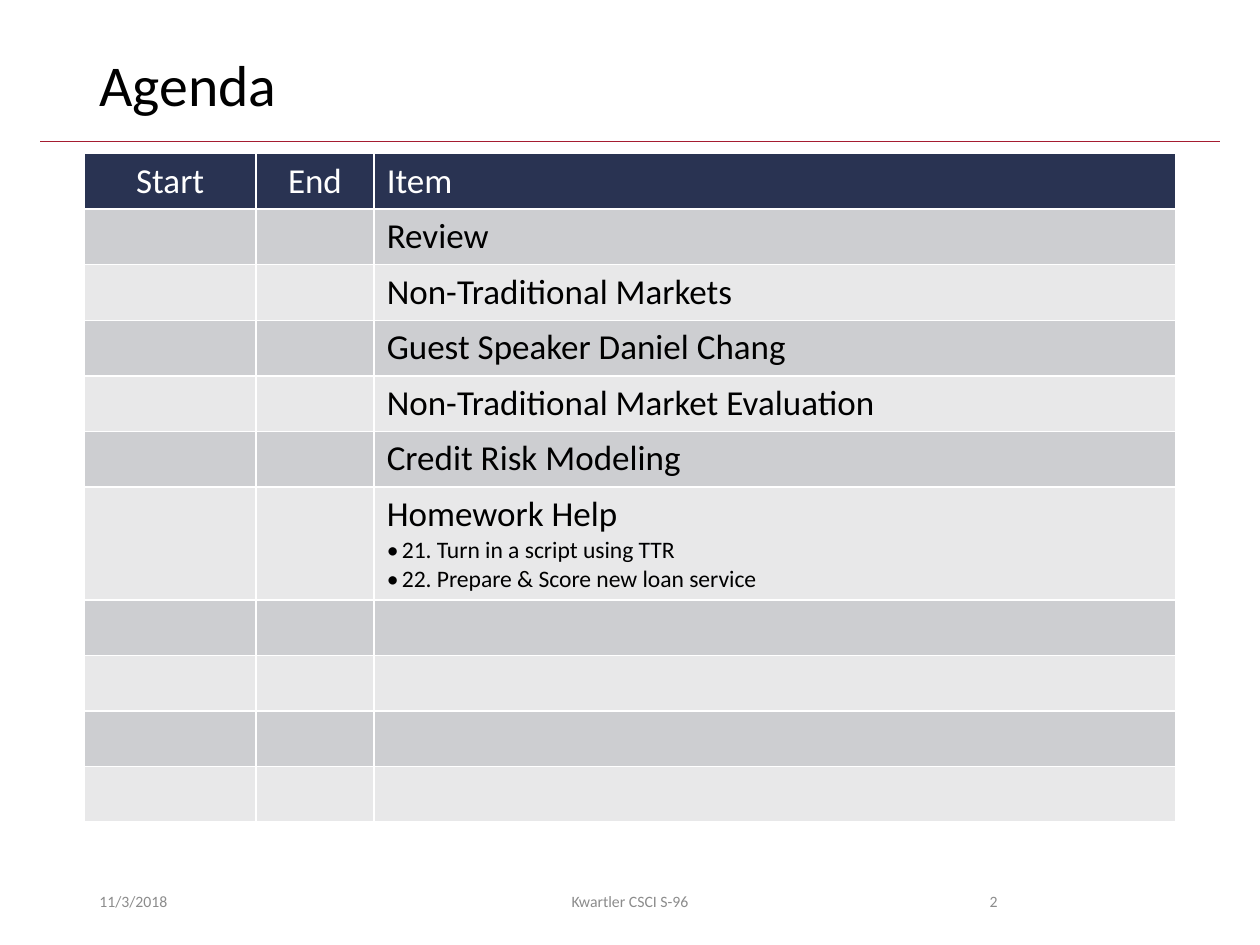
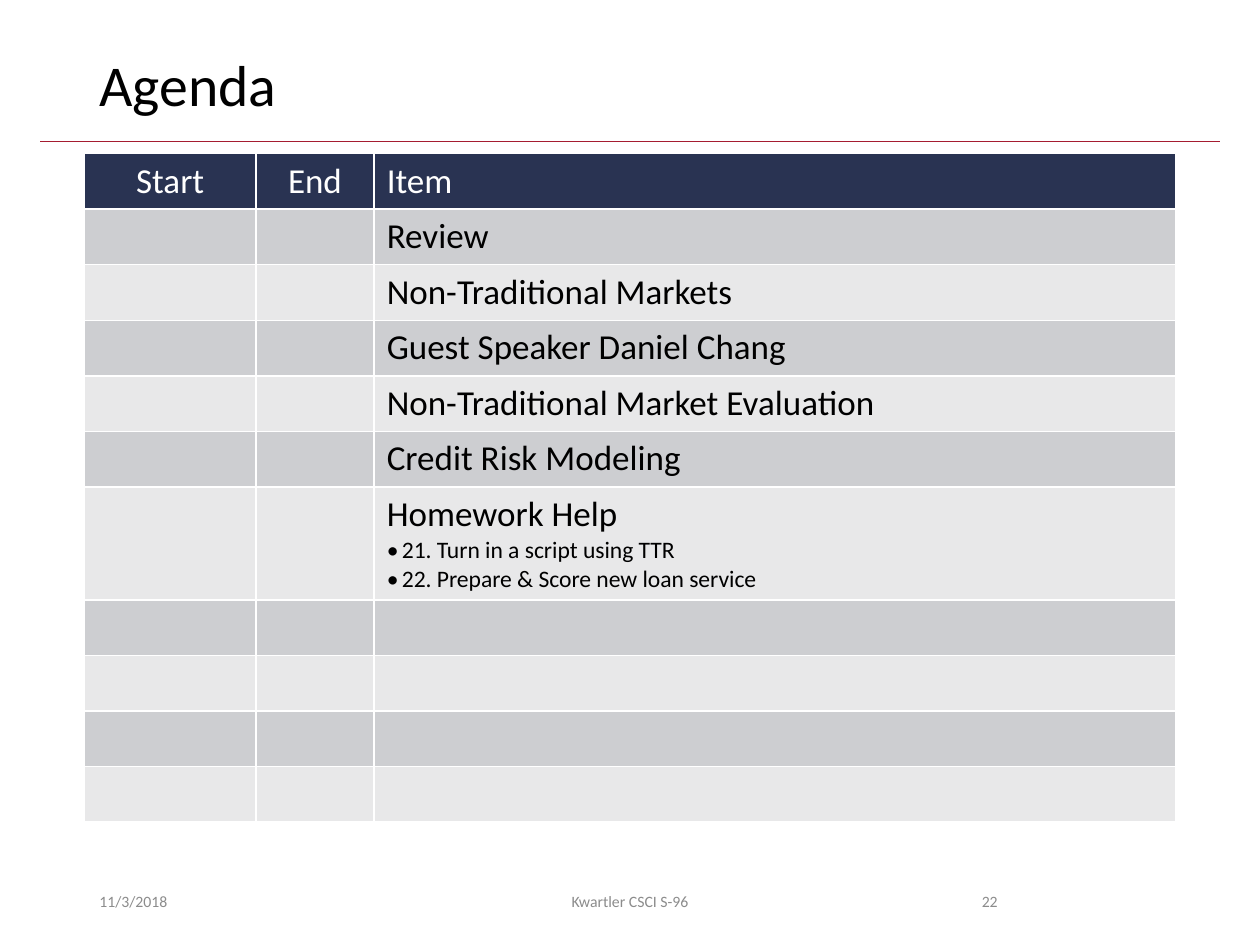
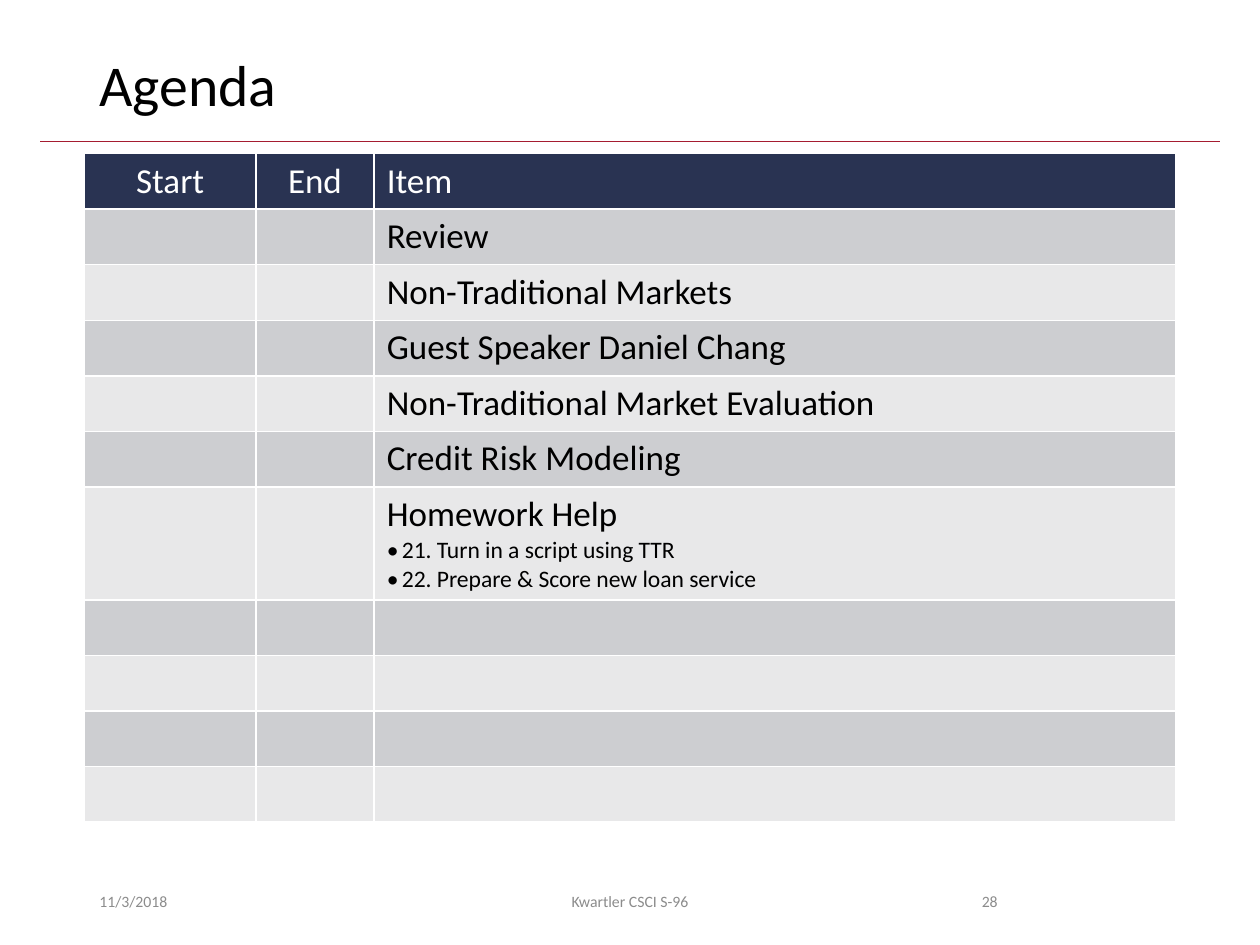
from lxml.etree import SubElement
from pptx import Presentation
from pptx.dml.color import RGBColor
from pptx.enum.shapes import MSO_CONNECTOR
from pptx.enum.text import MSO_ANCHOR, MSO_AUTO_SIZE, PP_ALIGN
from pptx.oxml.ns import qn
from pptx.util import Inches, Pt

COLORS = {"rule": "A51C30", "header": "293352", "dark_band": "CDCED1",
          "light_band": "E8E8E9", "white": "FFFFFF", "text": "000000",
          "footer": "8C8C8C"}
FONT = "Calibri"
TITLE_ONLY = 5

# Boxes are left, top, width, height in inches
TITLE_BOX = (0.69, 0.4, 8.62, 0.65)
TABLE_BOX = (0.67, 1.22, 8.66, 5.3)
FOOTER_BAND = (0.69, 6.95, 8.62, 0.4)
COLUMN_WIDTHS = (1.36, 0.94, 6.36)
ROW_HEIGHT, HOMEWORK_HEIGHT = 0.44, 0.9
BULLET_INDENT = 0.12

HEADINGS = ("Start", "End", "Item")
HOMEWORK = ("21. Turn in a script using TTR", "22. Prepare & Score new loan service")
ITEMS = (
    ("Review",),
    ("Non-Traditional Markets",),
    ("Guest Speaker Daniel Chang",),
    ("Non-Traditional Market Evaluation",),
    ("Credit Risk Modeling",),
    ("Homework Help", *HOMEWORK),
)
EMPTY_ROWS = 4
PAGE_NUMBERS = (2, 22, 28)


def rgb(name):
    return RGBColor.from_string(COLORS[name])


def write(para, text, size=20, color="text", align=PP_ALIGN.LEFT, bullet=False):
    """Fill one paragraph with formatted text."""
    para.alignment = align
    if bullet:
        properties = para._p.get_or_add_pPr()
        properties.set("marL", str(Inches(BULLET_INDENT)))
        properties.set("indent", str(-Inches(BULLET_INDENT)))
        SubElement(properties, qn("a:buFont"), typeface=FONT)
        SubElement(properties, qn("a:buChar"), char="•")
    span = para.add_run()
    span.text = text
    span.font.name = FONT
    span.font.size = Pt(size)
    span.font.bold = False
    span.font.color.rgb = rgb(color)


def add_rule(page, layout):
    """Draw the line under the title and hand it to the shared layout."""
    rule = page.shapes.add_connector(MSO_CONNECTOR.STRAIGHT, Inches(0.32), Inches(1.12),
                                     Inches(9.68), Inches(1.12))
    rule.line.color.rgb = rgb("rule")
    rule.line.width = Pt(0.5)
    SubElement(rule._element.spPr, qn("a:effectLst"))
    layout.shapes._spTree.append(rule._element)


def add_title(page, text, box):
    title = page.shapes.title
    title.left, title.top, title.width, title.height = map(Inches, box)
    frame = title.text_frame
    frame.auto_size = MSO_AUTO_SIZE.NONE
    frame.vertical_anchor = MSO_ANCHOR.TOP
    frame.paragraphs[0].line_spacing = 0.9
    write(frame.paragraphs[0], text, size=33)


def style_cell(cell, fill):
    """Give a cell white borders and a plain fill."""
    properties = cell._tc.get_or_add_tcPr()
    for side in "LRTB":
        border = SubElement(properties, qn(f"a:ln{side}"), w=str(Pt(1)))
        solid = SubElement(border, qn("a:solidFill"))
        SubElement(solid, qn("a:srgbClr"), val=COLORS["white"])
    cell.fill.solid()
    cell.fill.fore_color.rgb = rgb(fill)


def add_agenda_table(page, box):
    rows = ITEMS + ((),) * EMPTY_ROWS
    table = page.shapes.add_table(len(rows) + 1, len(HEADINGS), *map(Inches, box)).table
    for column, width in zip(table.columns, COLUMN_WIDTHS):
        column.width = Inches(width)

    # Header
    table.rows[0].height = Inches(ROW_HEIGHT)
    for cell, heading in zip(table.rows[0].cells, HEADINGS):
        style_cell(cell, "header")
        align = PP_ALIGN.LEFT if heading == "Item" else PP_ALIGN.CENTER
        write(cell.text_frame.paragraphs[0], heading, color="white", align=align)

    # Banded items, with any further lines as bullets
    for number, lines in enumerate(rows, start=1):
        row = table.rows[number]
        row.height = Inches(HOMEWORK_HEIGHT if len(lines) > 1 else ROW_HEIGHT)
        for cell in row.cells:
            style_cell(cell, "dark_band" if number % 2 else "light_band")
        frame = table.cell(number, 2).text_frame
        for index, line in enumerate(lines):
            para = frame.add_paragraph() if index else frame.paragraphs[0]
            write(para, line, size=13.5 if index else 20, bullet=index > 0)


def add_footer(page, number, band):
    left, top, width, height = band
    parts = (  # text, offset and width as shares of the band, alignment
        ("11/3/2018", 0, 0.26, PP_ALIGN.LEFT),
        ("Kwartler CSCI S-96", 0.3, 0.4, PP_ALIGN.CENTER),
        (str(number), 0.74, 0.11, PP_ALIGN.RIGHT),
    )
    for text, offset, share, align in parts:
        box = page.shapes.add_textbox(Inches(left + offset * width), Inches(top),
                                      Inches(share * width), Inches(height))
        frame = box.text_frame
        frame.word_wrap = True
        frame.vertical_anchor = MSO_ANCHOR.MIDDLE
        write(frame.paragraphs[0], text, size=9, color="footer", align=align)


def main():
    deck = Presentation()
    deck.slide_width, deck.slide_height = Inches(10), Inches(7.5)
    layout = deck.slide_layouts[TITLE_ONLY]
    for number in PAGE_NUMBERS:
        page = deck.slides.add_slide(layout)
        if number == PAGE_NUMBERS[0]:
            add_rule(page, layout)
        add_title(page, "Agenda", TITLE_BOX)
        add_agenda_table(page, TABLE_BOX)
        add_footer(page, number, FOOTER_BAND)
    deck.save("out.pptx")


if __name__ == "__main__":
    main()
